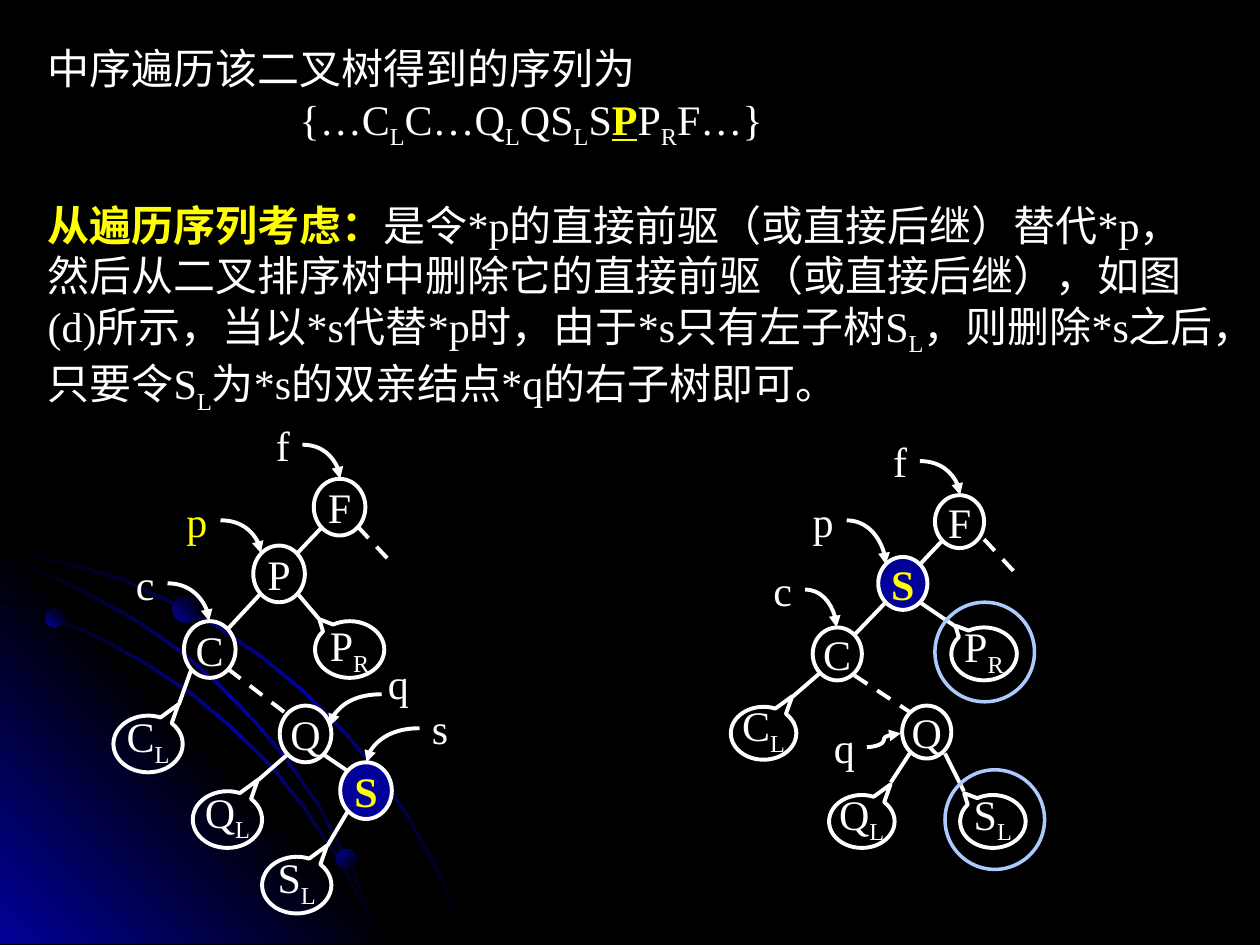
from pptx import Presentation, util as u
from pptx.dml.color import RGBColor
from pptx.enum import dml, shapes, text
from pptx.oxml import parse_xml
from pptx.oxml.ns import nsdecls, qn

WHITE = RGBColor(0xFF, 0xFF, 0xFF)
BLACK = RGBColor(0, 0, 0)
GOLD = RGBColor(0xFF, 0xFF, 0)
NAVY = RGBColor(0x01, 0x01, 0x99)
SKY = RGBColor(0xAD, 0xCA, 0xFF)
WIDE, HIGH = u.Inches(10), u.Inches(7.5)
CELL = WIDE // 100
OVAL = shapes.MSO_SHAPE.OVAL
BUBBLE = shapes.MSO_SHAPE.OVAL_CALLOUT
BODY = {"name": "Times New Roman", "size": u.Pt(24)}
KEY = {"bold": True, "color": GOLD}
LEFT, RIGHT = (0.438, -0.7), (-0.438, -0.535)


def cells(*nums):
    return [round(n * CELL) for n in nums]


def put(thing, vals):
    for name, val in vals.items():
        setattr(thing, name, val)


def write(par, words, color=WHITE, **look):
    first, *rest = words.split("_")
    bits = [(first, False)]
    for part in rest:
        bits += [(part[0], True), (part[1:], False)]
    for bit, low in bits:
        if bit:
            run = par.add_run()
            run.text = bit
            put(run.font, BODY | look)
            run.font.color.rgb = color
            if low:
                run.font._element.set("baseline", "-25000")


def blend(shape, stops, angle):
    marks = "".join(
        f'<a:gs pos="{i * 100000 // (len(stops) - 1)}"><a:srgbClr val="{c}"/></a:gs>'
        for i, c in enumerate(stops))
    fill = parse_xml(f'<a:gradFill {nsdecls("a")} rotWithShape="1"><a:gsLst>{marks}</a:gsLst>'
                     f'<a:lin ang="{angle * 60000}" scaled="0"/></a:gradFill>')
    shape._element.spPr[1].addnext(fill)
    shape.line.fill.background()
    shape.shadow.inherit = False


def patch(slide, points, stops, angle):
    spots = [(round(x * 10), round(y * 10)) for x, y in points]
    pen = slide.shapes.build_freeform(*spots[0], scale=CELL / 10)
    pen.add_line_segments(spots[1:], close=True)
    blend(pen.convert_to_shape(), stops, angle)


def arc(slide, edge):
    inner = [(max(x - 0.1, 0), min(y + 0.2, 75)) for x, y in reversed(edge)]
    patch(slide, edge + inner, (BLACK, NAVY, BLACK), 45)


def node(slide, box, words="", kind=OVAL, fill=None, edge=WHITE, width=2.25,
         tip=None, gap=None, **look):
    shape = slide.shapes.add_shape(kind, *cells(*box))
    shape.shadow.inherit = False
    if fill is None:
        shape.fill.background()
    else:
        shape.fill.solid()
        shape.fill.fore_color.rgb = fill
    shape.line.color.rgb = edge
    shape.line.width = u.Pt(width)
    if tip:
        for i, val in enumerate(tip):
            shape.adjustments[i] = val
    if words:
        frame = shape.text_frame
        put(frame, {"word_wrap": False, "vertical_anchor": text.MSO_ANCHOR.MIDDLE})
        par = frame.paragraphs[0]
        put(par, {"alignment": text.PP_ALIGN.CENTER, "line_spacing": gap})
        write(par, words, **look)


def link(slide, ends, dash=False, bend=None):
    kind = shapes.MSO_CONNECTOR.CURVE if bend else shapes.MSO_CONNECTOR.STRAIGHT
    wire = slide.shapes.add_connector(kind, *cells(*ends))
    put(wire.line, {"width": u.Pt(2.25)})
    wire.line.color.rgb = WHITE
    if dash:
        wire.line.dash_style = dml.MSO_LINE.DASH
    props = wire._element.spPr
    if bend:
        props.find(qn("a:prstGeom")).set("prst", bend)
        wire.line._get_or_add_ln().append(
            parse_xml(f'<a:tailEnd {nsdecls("a")} type="triangle"/>'))
    props.append(parse_xml(f'<a:effectLst {nsdecls("a")}/>'))


def label(slide, x, y, words, color=WHITE):
    frame = slide.shapes.add_textbox(*cells(x, y, 3.5, 5)).text_frame
    frame.word_wrap = False
    write(frame.paragraphs[0], words, color)


def prose(slide):
    frame = slide.shapes.add_textbox(*cells(2.8, 2.9, 94.5, 29.3)).text_frame
    frame.word_wrap = True
    head, line, main = frame.paragraphs[0], frame.add_paragraph(), frame.add_paragraph()
    write(head, "中序遍历该二叉树得到的序列为")
    line._p.get_or_add_pPr().set("marL", str(CELL * 20))
    write(line, "{…C_LC…Q_LQS_LS")
    write(line, "P", underline=True, **KEY)
    write(line, "P_RF…}")
    main.space_before = u.Pt(28)
    write(main, "从遍历序列考虑：", **KEY)
    write(main, "是令*p的直接前驱（或直接后继）替代*p，然后从二叉排序树中删除它的直接前驱"
                "（或直接后继），如图(d)所示，当以*s代替*p时，由于*s只有左子树S_L，"
                "则删除*s之后，只要令S_L为*s的双亲结点*q的右子树即可。")


def decor(slide):
    arc(slide, [(0, 43.5), (5.7, 44.7), (9.8, 45.9), (13.6, 47.7), (17.4, 49.7), (20.9, 52.1),
                (24.2, 54.8), (27.2, 57.8), (30, 61.1), (32.5, 64.8), (35.2, 69.8), (37.2, 74.9)])
    patch(slide, [(32.2, 74.9), (0, 74.9), (0, 42.7)], (NAVY, BLACK, NAVY), 315)
    arc(slide, [(0, 47.5), (4.1, 48.8), (7.9, 50.5), (11.7, 52.6), (15.2, 54.9), (18.4, 57.6),
                (21.5, 60.6), (24.2, 64), (26.6, 67.6), (28.6, 71.2), (30.3, 74.9)])
    arc(slide, [(0, 44.2), (3.9, 45.5), (7.6, 47.3), (11.1, 49.3), (14.4, 51.6), (17.5, 54.3),
                (20.4, 57.3), (22.9, 60.3), (25.4, 63.9), (28.2, 69.3), (30.3, 74.9)])
    for x, y, size, angle in ((3.6, 48.3, 1.5, 315), (26.7, 67.4, 1.6, 45), (13.7, 47.3, 2.1, 315)):
        blend(slide.shapes.add_shape(OVAL, *cells(x, y, size, size)), (NAVY, BLACK), angle)


def tree(slide, plan):
    for x, y, words in plan["nodes"]:
        look = {"fill": NAVY, **KEY} if words == "S" else {}
        node(slide, (x, y, *plan["ring"]), words, **look)
    for x, y, words, tip, gap in plan["leaves"]:
        node(slide, (x, y, *plan["leaf"]), words, BUBBLE, tip=tip, gap=gap)
    for ends in plan["lines"]:
        link(slide, ends)
    for ends in plan["dashes"]:
        link(slide, ends, dash=True)
    for ends in plan["bows"]:
        link(slide, ends, bend="curvedConnector2")
    for tag in plan["tags"]:
        label(slide, *tag)


BEFORE = {
    "ring": (4.1, 4.5), "leaf": (5.5, 4.5),
    "nodes": [(24.9, 38, "F"), (20.1, 43.3, "P"), (14.6, 49.3, "C"), (22.2, 56, "Q"),
              (27, 60.5, "S")],
    "leaves": [(9, 56.8, "C_L", LEFT, 0.5), (25, 49.3, "P_R", RIGHT, 0.7),
               (15.3, 62.8, "Q_L", LEFT, 0.5), (20.8, 68, "S_L", LEFT, 0.5)],
    "lines": [(25.5, 41.9, 23.6, 43.9), (20.7, 47.1, 18.1, 49.9), (15.2, 53.1, 14.2, 55.9),
              (23.6, 47.1, 25.3, 49.1), (22.8, 59.9, 20.5, 61.9), (27.6, 64.4, 26, 67.1),
              (25.7, 59.9, 27.6, 61.2)],
    "dashes": [(18.1, 53.1, 22.8, 56.7), (28.4, 41.8, 31.2, 44.8)],
    "bows": [(24, 35.3, 27, 38), (17.5, 41.3, 20.7, 43.9), (30.3, 55.1, 26.2, 57.6),
             (33.3, 57.8, 29.1, 60.5), (13.3, 46.3, 16.6, 49.3)],
    "tags": [(20.9, 32.8, "f"), (13.8, 38.8, "p", GOLD), (9.8, 43.8, "c"), (33.3, 55.3, "s"),
             (29.8, 51.7, "q")],
}
AFTER = {
    "ring": (3.9, 4.2), "leaf": (5.2, 4.2),
    "nodes": [(74.2, 39.3, "F"), (69.7, 44.2, "S"), (64.5, 49.8, "C"), (71.6, 56, "Q")],
    "leaves": [(65.8, 63.1, "Q_L", LEFT, 0.5), (76.2, 63.1, "S_L", RIGHT, 0.5),
               (58, 56.1, "C_L", LEFT, 0.5), (75.5, 49.8, "P_R", RIGHT, 0.5)],
    "lines": [(74.8, 42.9, 73, 44.8), (70.3, 47.8, 67.8, 50.4), (72.2, 59.8, 70.7, 62.1),
              (75, 59.8, 76.5, 62.8), (65.1, 53.4, 62.9, 55.3), (73, 47.8, 75.8, 49.7)],
    "dashes": [(78.1, 42.8, 80.7, 45.6), (67.8, 53.6, 72.2, 56.5)],
    "bows": [(73, 36.6, 76.2, 39.3), (67.2, 41.3, 70.3, 44.8), (63.9, 46.8, 66.4, 49.8)],
    "tags": [(69.9, 34.1, "f"), (63.5, 38.8, "p"), (60.4, 44.3, "c"), (65.2, 56.8, "q")],
}


def main():
    deck = Presentation()
    put(deck, {"slide_width": WIDE, "slide_height": HIGH})
    slide = deck.slides.add_slide(deck.slide_layouts[6])
    back = slide.background.fill
    back.solid()
    back.fore_color.rgb = BLACK
    decor(slide)
    prose(slide)
    for plan in (BEFORE, AFTER):
        tree(slide, plan)
    link(slide, (68.8, 59.3, 71.5, 58.2), bend="curvedConnector3")
    for x, y in ((74.2, 47.8), (75, 61.1)):
        node(slide, (x, y, 7.9, 7.9), edge=SKY, width=2)
    deck.save("out.pptx")


if __name__ == "__main__":
    main()
